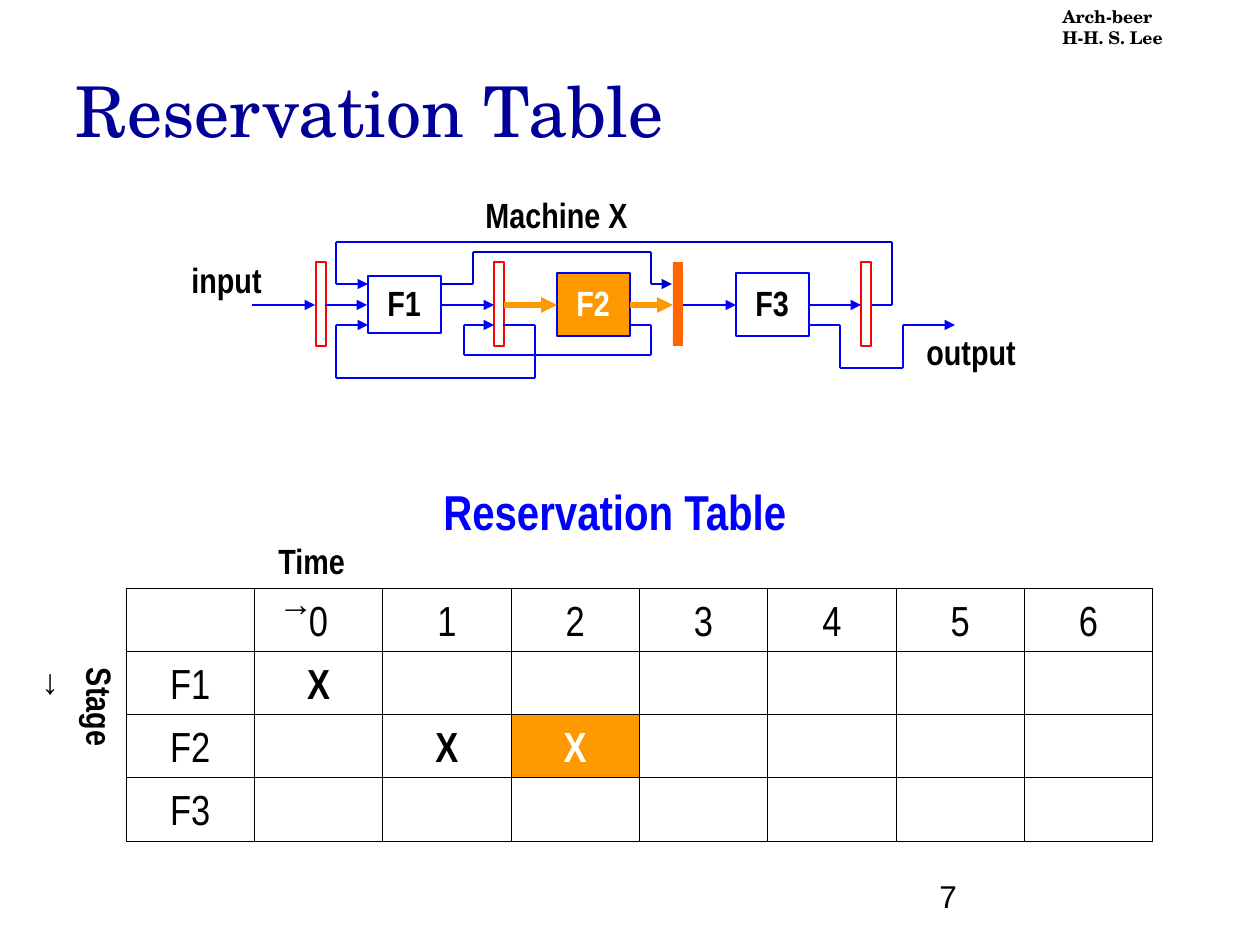
"""Build the reservation table slide with its pipeline diagram."""
from typing import NamedTuple, Optional

from lxml import etree
from pptx import Presentation
from pptx.dml.color import RGBColor
from pptx.enum.shapes import MSO_CONNECTOR, MSO_SHAPE
from pptx.enum.text import MSO_ANCHOR, MSO_AUTO_SIZE, PP_ALIGN
from pptx.oxml import parse_xml
from pptx.oxml.ns import nsdecls, qn
from pptx.util import Emu, Pt

LINE, RECT = MSO_CONNECTOR.STRAIGHT, MSO_SHAPE.RECTANGLE
TOP, BOTTOM = MSO_ANCHOR.TOP, MSO_ANCHOR.BOTTOM
LEFT, CENTER = PP_ALIGN.LEFT, PP_ALIGN.CENTER
GROW = MSO_AUTO_SIZE.SHAPE_TO_FIT_TEXT
SCALE = 914400 / 126
SERIF, NARROW, SANS = "TeX Gyre Schola", "Arial Narrow", "Arial"
BLACK, WHITE, BLUE, DARK = "000000", "FFFFFF", "0000FF", "0000CC"
NAVY, RED, AMBER, RUST = "000099", "FF0000", "FF9900", "FF6600"


class Box(NamedTuple):
    left: int
    top: int
    width: int
    height: int
    fill: Optional[str] = None
    line: Optional[str] = None
    weight: float = 1


class Label(NamedTuple):
    text: str
    left: int
    top: int
    width: int
    height: int = 55
    size: int = 20
    font: str = NARROW
    color: str = BLACK
    bold: bool = True
    wrap: bool = False
    turn: int = 0
    arrow: str = ""
    anchor: MSO_ANCHOR = TOP


class Wire(NamedTuple):
    points: list
    color: str = BLUE
    weight: float = 1.5
    head: bool = True


BOXES = [
    Box(368, 276, 73, 57, None, BLUE, 1.5),
    Box(557, 273, 73, 63, AMBER, BLUE, 1.5),
    Box(736, 273, 73, 63, None, BLUE, 1.5),
    Box(316, 262, 10, 84, WHITE, RED),
    Box(494, 262, 10, 84, WHITE, RED),
    Box(673, 262, 10, 84, RUST),
    Box(861, 262, 10, 84, WHITE, RED),
]
LABELS = [
    Label("Arch-beer\nH-H. S. Lee", 1050, 0, 210, 55, 10, SERIF, wrap=True),
    Label("F1", 375, 275, 62),
    Label("F2", 564, 275, 62, color=WHITE),
    Label("F3", 743, 275, 62),
    Label("input", 179, 252, 96),
    Label("output", 914, 324, 115),
    Label("Machine X", 473, 187, 168),
    Label("Reservation Table", 431, 475, 370, 72, 28, color=BLUE),
    Label("Time ", 266, 533, 129, wrap=True, arrow="→"),
    Label("Stage ", 30, 698, 140, wrap=True, turn=90, arrow="→"),
    Label("7", 927, 858, 262, 63, 18, SANS, bold=False, wrap=True, anchor=BOTTOM),
]
WIRES = [
    Wire([(252, 305), (315, 305)]),
    Wire([(325, 305), (367, 305)]),
    Wire([(441, 305), (494, 305)]),
    Wire([(504, 305), (557, 305)], AMBER, 3),
    Wire([(630, 305), (673, 305)], AMBER, 3),
    Wire([(683, 305), (736, 305)], weight=1),
    Wire([(809, 305), (829, 305)], weight=1, head=False),
    Wire([(809, 305), (861, 305)]),
    Wire([(872, 305), (892, 305)], head=False),
    Wire([(892, 305), (892, 242), (473, 242)], DARK, head=False),
    Wire([(473, 242), (336, 242), (336, 284), (368, 284)]),
    Wire([(441, 284), (473, 284), (473, 252), (651, 252), (651, 284), (672, 284)], DARK),
    Wire([(809, 325), (840, 325), (840, 368), (903, 368), (903, 325), (955, 325)]),
    Wire([(630, 325), (651, 325), (651, 355), (464, 355), (464, 325), (494, 325)]),
    Wire([(503, 325), (535, 325), (535, 378), (336, 378), (336, 325), (368, 325)]),
]
ROWS = [
    ["", *"0123456"],
    ["F1", "X"],
    ["F2", "", "X", "X"],
    ["F3"],
]
BUSY = (2, 3)


def px(*nums: int) -> list:
    return [Emu(round(num * SCALE)) for num in nums]


def rgb(code: str) -> RGBColor:
    return RGBColor.from_string(code)


def style(run, size: int, font: str, color: str, bold: bool) -> None:
    run.font.size, run.font.name, run.font.bold = Pt(size), font, bold
    run.font.color.rgb = rgb(color)


def draw_box(shapes, box: Box) -> None:
    rect = shapes.add_shape(RECT, *px(*box[:4]))
    rect.shadow.inherit = False
    if box.fill:
        rect.fill.solid()
        rect.fill.fore_color.rgb = rgb(box.fill)
    else:
        rect.fill.background()
    if box.line:
        rect.line.color.rgb = rgb(box.line)
        rect.line.width = Pt(box.weight)
    else:
        rect.line.fill.background()


def draw_label(shapes, label: Label) -> None:
    area = shapes.add_textbox(*px(label.left, label.top, label.width, label.height))
    area.rotation = label.turn
    frame = area.text_frame
    frame.text = label.text
    frame.word_wrap, frame.vertical_anchor = label.wrap, label.anchor
    if not label.wrap:
        frame.auto_size = GROW
    for para in frame.paragraphs:
        for run in para.runs:
            style(run, label.size, label.font, label.color, label.bold)
    if label.arrow:
        run = frame.paragraphs[0].add_run()
        run.text = label.arrow
        style(run, label.size, SANS, label.color, label.bold)


def draw_wire(shapes, wire: Wire) -> None:
    for start, end in zip(wire.points, wire.points[1:]):
        part = shapes.add_connector(LINE, *px(*start, *end))
        part.line.color.rgb = rgb(wire.color)
        part.line.width = Pt(wire.weight)
        etree.SubElement(part._element.spPr, qn("a:effectLst"))
    if wire.head:
        etree.SubElement(part.line._get_or_add_ln(), qn("a:tailEnd"), type="triangle")


def draw_table(shapes) -> None:
    table = shapes.add_table(len(ROWS), len(ROWS[0]), *px(126, 588, 1027, 253)).table
    table.first_row = table.horz_banding = False
    for row, texts in enumerate(ROWS):
        for col in range(len(ROWS[0])):
            cell, busy = table.cell(row, col), (row, col) == BUSY
            props = cell._tc.get_or_add_tcPr()
            for side in "LRTB":
                props.append(parse_xml(
                    f'<a:ln{side} {nsdecls("a")} w="5715"><a:solidFill>'
                    f'<a:srgbClr val="{BLACK}"/></a:solidFill></a:ln{side}>'))
            cell.fill.background()
            if busy:
                cell.fill.solid()
                cell.fill.fore_color.rgb = rgb(AMBER)
            cell.vertical_anchor = BOTTOM
            if col < len(texts) and texts[col]:
                para = cell.text_frame.paragraphs[0]
                para.text, para.alignment = texts[col], CENTER
                style(para.runs[0], 24, NARROW, WHITE if busy else BLACK, texts[col] == "X")


def draw_title(title) -> None:
    title.left, title.top, title.width, title.height = px(63, 42, 1071, 116)
    frame = title.text_frame
    frame.text = "Reservation Table"
    frame.vertical_anchor = BOTTOM
    frame.paragraphs[0].alignment = LEFT
    style(frame.paragraphs[0].runs[0], 40, SERIF, NAVY, False)


def main() -> None:
    deck = Presentation()
    deck.slide_width, deck.slide_height = px(1260, 945)
    shapes = deck.slides.add_slide(deck.slide_layouts[5]).shapes
    draw_title(shapes.title)
    for box in BOXES:
        draw_box(shapes, box)
    draw_table(shapes)
    for wire in WIRES:
        draw_wire(shapes, wire)
    for label in LABELS:
        draw_label(shapes, label)
    deck.save("out.pptx")


if __name__ == "__main__":
    main()
